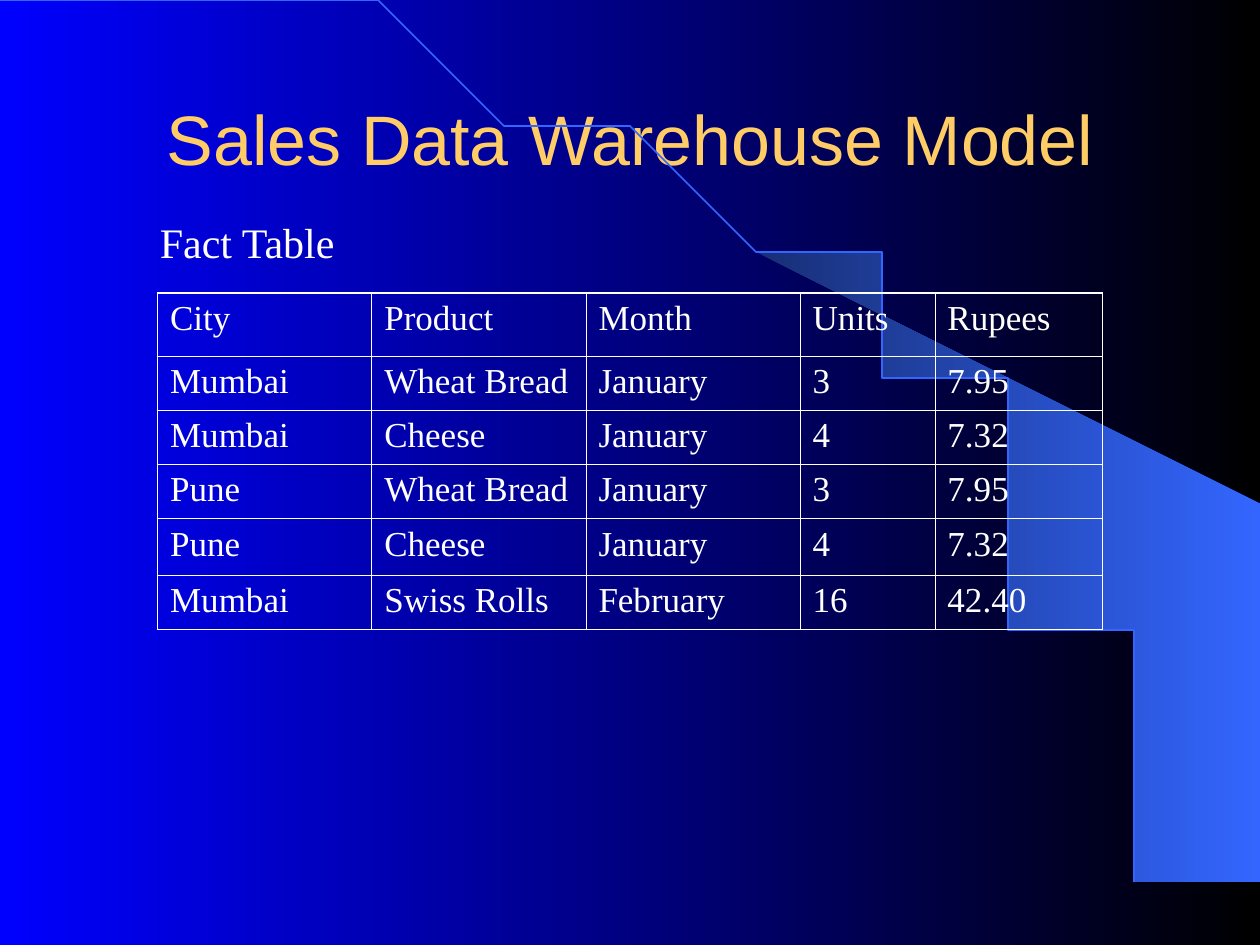
import math
from lxml import etree
from pptx import Presentation, util as u
from pptx.dml.color import RGBColor
from pptx.enum import text
from pptx.oxml import ns

BLUE = RGBColor(0x00, 0x00, 0xFF)
BLACK = RGBColor(0x00, 0x00, 0x00)
NAVY = RGBColor(0x18, 0x2F, 0x76)
AZURE = RGBColor(0x33, 0x66, 0xFF)
GOLD = RGBColor(0xFF, 0xCC, 0x66)
WHITE = RGBColor(0xFF, 0xFF, 0xFF)

WIDE, HIGH = 10, 7.5
COLS = [1.7, 1.7, 1.7, 1.07, 1.33]
ROWS = [0.5, 0.43, 0.43, 0.43, 0.45, 0.43]
SALES = [
    ["City", "Product", "Month", "Units", "Rupees"],
    ["Mumbai", "Wheat Bread", "January", "3", "7.95"],
    ["Mumbai", "Cheese", "January", "4", "7.32"],
    ["Pune", "Wheat Bread", "January", "3", "7.95"],
    ["Pune", "Cheese", "January", "4", "7.32"],
    ["Mumbai", "Swiss Rolls", "February", "16", "42.40"],
]


def shade(fill, first, last):
    """Fill from left to right with two colours."""
    fill.gradient()
    fill.gradient_angle = 0
    for stop, color in zip(fill.gradient_stops, (first, last)):
        stop.color.rgb = color


def write(para, words, font, size, color):
    run = para.add_run()
    run.text = words
    run.font.name = font
    run.font.size = u.Pt(size)
    run.font.color.rgb = color


def place(shape, box):
    shape.left, shape.top, shape.width, shape.height = map(u.Inches, box)


def arc(box, start=0.0, steps=60):
    """Points on the upper right quarter of an ellipse, from angle start down."""
    left, top, wide, high = box
    turns = [start + (math.pi / 2 - start) * i / steps for i in range(steps + 1)]
    return [(left + wide * math.sin(a), top + high * (1 - math.cos(a)))
            for a in turns]


def outline(slide, points, close):
    pen = slide.shapes.build_freeform(*points[0], scale=float(u.Inches(1)))
    pen.add_line_segments(points[1:], close=close)
    shape = pen.convert_to_shape()
    shape.shadow.inherit = False
    return shape


def add_sweep(slide, box):
    """Draw the curve across the box and the lit wedge outside it."""
    left, top, wide, high = box
    edge = 0.999 * WIDE
    tip = math.asin(0.64)
    corners = [(edge, top + high), (edge, top + 0.565 * high)]
    wedge = outline(slide, arc(box, tip) + corners, True)
    shade(wedge.fill, NAVY, AZURE)
    wedge.line.fill.background()
    curve = outline(slide, arc(box), False)
    curve.fill.background()
    curve.line.color.rgb = AZURE
    curve.line.width = u.Pt(1)


def add_title(slide, box):
    title = slide.shapes.title
    place(title, box)
    frame = title.text_frame
    frame.vertical_anchor = text.MSO_ANCHOR.MIDDLE
    para = frame.paragraphs[0]
    para.alignment = text.PP_ALIGN.CENTER
    write(para, "Sales Data Warehouse Model", "Arial", 40, GOLD)


def add_label(slide, box):
    frame = slide.shapes.add_textbox(*map(u.Inches, box)).text_frame
    frame.word_wrap = False
    frame.auto_size = text.MSO_AUTO_SIZE.SHAPE_TO_FIT_TEXT
    write(frame.paragraphs[0], "Fact Table", "Times New Roman", 24, WHITE)


def rule(cell, widths):
    """Give the cell its left, right, top and bottom borders."""
    props = cell._tc.get_or_add_tcPr()
    for i, (side, width) in enumerate(zip("LRTB", widths)):
        line = etree.Element(ns.qn("a:ln" + side), w=str(u.Pt(width)))
        solid = etree.SubElement(line, ns.qn("a:solidFill"))
        etree.SubElement(solid, ns.qn("a:srgbClr"), val=str(WHITE))
        props.insert(i, line)


def add_facts(slide, box):
    down, across = len(ROWS), len(COLS)
    table = slide.shapes.add_table(down, across, *map(u.Inches, box)).table
    table.first_row = table.horz_banding = False
    for col, size in zip(table.columns, COLS):
        col.width = u.Inches(box[2] * size / sum(COLS))
    for row, size in zip(table.rows, ROWS):
        row.height = u.Inches(box[3] * size / sum(ROWS))
    for r, record in enumerate(SALES):
        for c, words in enumerate(record):
            cell = table.cell(r, c)
            cell.fill.background()
            outer = (c == 0, c == across - 1, r == 0, r == down - 1)
            rule(cell, [1.08 if edge else 0.45 for edge in outer])
            write(cell.text_frame.paragraphs[0], words,
                  "Times New Roman", 20, WHITE)


def main():
    deck = Presentation()
    deck.slide_width, deck.slide_height = u.Inches(WIDE), u.Inches(HIGH)
    slide = deck.slides.add_slide(deck.slide_layouts[5])
    shade(slide.background.fill, BLUE, BLACK)
    add_sweep(slide, (0, 0, 0.92 * WIDE, 0.999 * HIGH))
    add_title(slide, (0.075 * WIDE, 0.09 * HIGH, 0.85 * WIDE, HIGH / 9))
    add_facts(slide, (WIDE / 8, 0.31 * HIGH, 0.75 * WIDE, sum(ROWS)))
    add_label(slide, (0.117 * WIDE, HIGH / 4.5, 0.161 * WIDE, HIGH / 15))
    # The title was made with the slide, so lift it above the sweep.
    tree = slide.shapes.title.element.getparent()
    tree.insert(4, slide.shapes.title.element)
    deck.save("out.pptx")


if __name__ == "__main__":
    main()
